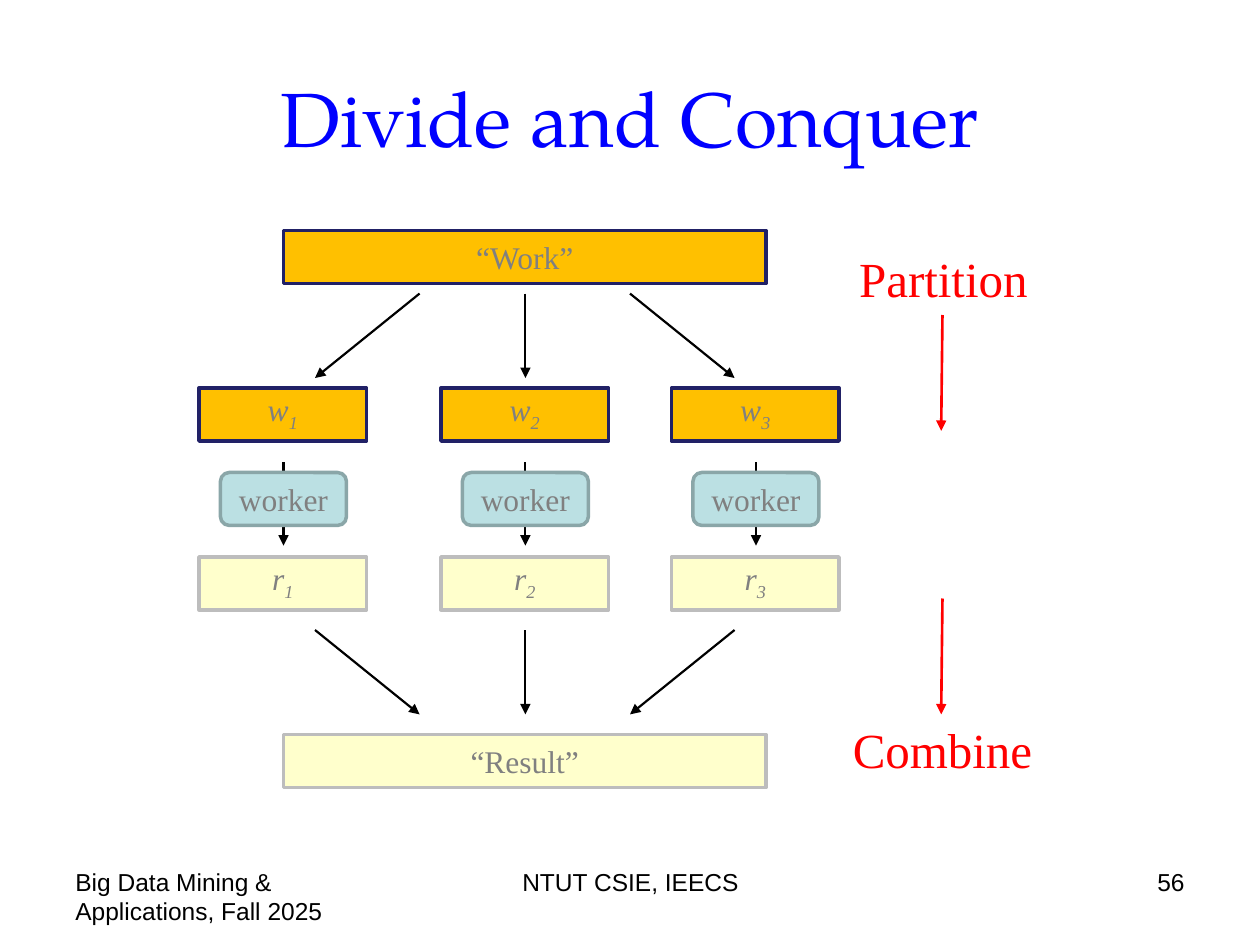
from lxml.etree import SubElement
from pptx import Presentation
from pptx.dml.color import RGBColor
from pptx.enum.shapes import MSO_CONNECTOR, MSO_SHAPE
from pptx.enum.text import MSO_ANCHOR, PP_ALIGN
from pptx.oxml.ns import qn
from pptx.util import Inches, Pt

BLACK = RGBColor(0x00, 0x00, 0x00)
BLUE = RGBColor(0x00, 0x00, 0xFF)
RED = RGBColor(0xFF, 0x00, 0x00)
GRAY = RGBColor(0x80, 0x80, 0x80)
ORANGE = RGBColor(0xFF, 0xC0, 0x00)
NAVY = RGBColor(0x21, 0x21, 0x66)
CREAM = RGBColor(0xFF, 0xFF, 0xCC)
SILVER = RGBColor(0xBD, 0xBD, 0xBD)
TEAL = RGBColor(0xBB, 0xE0, 0xE3)
DARK_TEAL = RGBColor(0x8A, 0xA6, 0xA8)

TITLE_FORMAT = {"name": "TeX Gyre Pagella", "size": Pt(44)}
BOX_FORMAT = {"name": "Times New Roman", "size": Pt(18)}
ITEM_FORMAT = {**BOX_FORMAT, "italic": True}
PHASE_FORMAT = {"name": "Times New Roman", "size": Pt(28)}
FOOTER_FORMAT = {"name": "Arial", "size": Pt(14)}


def add_run(paragraph, text, font_format, color):
    run = paragraph.add_run()
    run.text = text
    for attribute, value in font_format.items():
        setattr(run.font, attribute, value)
    run.font.color.rgb = color
    return run


def add_arrow(shapes, start, end, color, width):
    points = [Inches(value) for value in (*start, *end)]
    arrow = shapes.add_connector(MSO_CONNECTOR.STRAIGHT, *points)
    arrow.line.color.rgb = color
    arrow.line.width = Pt(width)
    SubElement(arrow.line._get_or_add_ln(), qn("a:tailEnd"), type="triangle")
    SubElement(arrow._element.spPr, qn("a:effectLst"))


presentation = Presentation()
presentation.slide_width = Inches(10)
presentation.slide_height = Inches(7.5)
slide = presentation.slides.add_slide(presentation.slide_layouts[5])
shapes = slide.shapes

title = shapes.title
title.left, title.top, title.width, title.height = map(Inches, (0.5, 0.3, 9, 1.25))
title.text_frame.vertical_anchor = MSO_ANCHOR.MIDDLE
title_paragraph = title.text_frame.paragraphs[0]
title_paragraph.alignment = PP_ALIGN.CENTER
add_run(title_paragraph, "Divide and Conquer", TITLE_FORMAT, BLUE)

column_centers = (2.25, 4.17, 6)
for center in column_centers:
    add_arrow(shapes, (center, 3.67), (center, 4.33), BLACK, 1.25)
for inner, outer in ((3.33, 2.5), (4.17, 4.17), (5, 5.83)):
    add_arrow(shapes, (inner, 2.33), (outer, 3), BLACK, 1.25)
    add_arrow(shapes, (outer, 5), (inner, 5.67), BLACK, 1.25)
for top in (2.5, 4.75):
    add_arrow(shapes, (7.48, top), (7.47, top + 0.92), RED, 1.5)

boxes = [
    (MSO_SHAPE.RECTANGLE, 2.25, 1.83, 3.83, ORANGE, NAVY, "“Work”", ""),
    (MSO_SHAPE.RECTANGLE, 2.25, 5.83, 3.83, CREAM, SILVER, "“Result”", ""),
]
for number, center in enumerate(column_centers, start=1):
    item_left = center - 0.67
    boxes += [
        (MSO_SHAPE.RECTANGLE, item_left, 3.08, 1.33, ORANGE, NAVY, "w", str(number)),
        (MSO_SHAPE.RECTANGLE, item_left, 4.42, 1.33, CREAM, SILVER, "r", str(number)),
        (MSO_SHAPE.ROUNDED_RECTANGLE, center - 0.5, 3.75, 1, TEAL, DARK_TEAL, "worker", ""),
    ]

for kind, left, top, width, fill, border, label, subscript in boxes:
    box = shapes.add_shape(kind, *map(Inches, (left, top, width, 0.42)))
    box.shadow.inherit = False
    box.fill.solid()
    box.fill.fore_color.rgb = fill
    box.line.color.rgb = border
    box.line.width = Pt(2)
    frame = box.text_frame
    frame.vertical_anchor = MSO_ANCHOR.MIDDLE
    paragraph = frame.paragraphs[0]
    paragraph.alignment = PP_ALIGN.CENTER
    add_run(paragraph, label, ITEM_FORMAT if subscript else BOX_FORMAT, GRAY)
    if subscript:
        frame.margin_top = 0
        run = add_run(paragraph, subscript, ITEM_FORMAT, GRAY)
        run._r.get_or_add_rPr().set("baseline", "-25000")

texts = [
    (6.72, 1.92, 1.58, 0.57, "Partition", PP_ALIGN.LEFT, PHASE_FORMAT, RED, False),
    (6.67, 5.66, 1.67, 0.57, "Combine", PP_ALIGN.LEFT, PHASE_FORMAT, RED, False),
    (0.5, 6.83, 2.33, 0.52, "Big Data Mining & Applications, Fall 2025",
     PP_ALIGN.LEFT, FOOTER_FORMAT, BLACK, True),
    (3.42, 6.83, 3.17, 0.52, "NTUT CSIE, IEECS", PP_ALIGN.CENTER, FOOTER_FORMAT, BLACK, True),
    (7.17, 6.83, 2.33, 0.52, "56", PP_ALIGN.RIGHT, FOOTER_FORMAT, BLACK, True),
]
for left, top, width, height, text, alignment, font_format, color, wrap in texts:
    text_box = shapes.add_textbox(*map(Inches, (left, top, width, height)))
    text_box.text_frame.word_wrap = wrap
    paragraph = text_box.text_frame.paragraphs[0]
    paragraph.alignment = alignment
    add_run(paragraph, text, font_format, color)

presentation.save("out.pptx")
